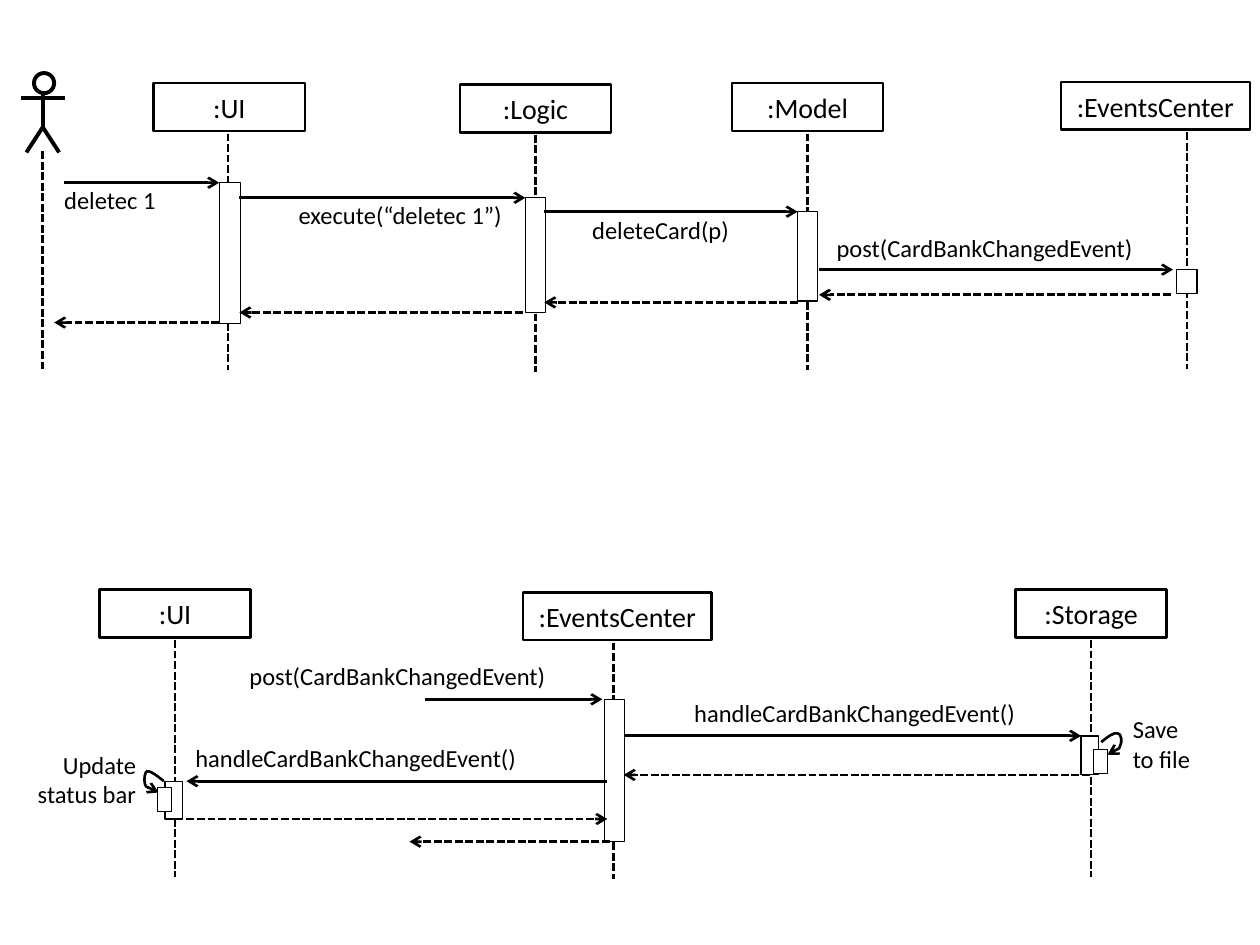
from collections import namedtuple
from lxml import etree
from pptx import Presentation
from pptx.dml.color import RGBColor
from pptx.enum.dml import MSO_LINE
from pptx.enum.shapes import MSO_CONNECTOR, MSO_SHAPE
from pptx.enum.text import MSO_ANCHOR, MSO_AUTO_SIZE, PP_ALIGN
from pptx.oxml.ns import qn
from pptx.util import Inches, Pt

STRAIGHT = MSO_CONNECTOR.STRAIGHT
RECTANGLE, CIRCLE = MSO_SHAPE.RECTANGLE, MSO_SHAPE.FLOWCHART_CONNECTOR
DASH = MSO_LINE.SQUARE_DOT
LEFT, CENTER, RIGHT = PP_ALIGN.LEFT, PP_ALIGN.CENTER, PP_ALIGN.RIGHT
COLORS = {"ink": "000000", "paper": "FFFFFF"}
COLUMNS, ROWS = 100, 75
HEADER_HEIGHT, LIFELINE_GAP, LIFELINE_LENGTH = 3.8, 0.2, 18.8
LABEL_ROW = 2.4
NO_INSETS = dict.fromkeys(("margin_left", "margin_top", "margin_right", "margin_bottom"), 0)
HEADER_FRAME = {"word_wrap": True, "vertical_anchor": MSO_ANCHOR.MIDDLE}
LABEL_FRAME = {**NO_INSETS, "word_wrap": True, "vertical_anchor": MSO_ANCHOR.TOP,
               "auto_size": MSO_AUTO_SIZE.SHAPE_TO_FIT_TEXT}

Region = namedtuple("Region", "left top")
Participant = namedtuple("Participant", "name left top width axis activation")
Label = namedtuple("Label", "text left top width lines align", defaults=(1, LEFT))
Message = namedtuple("Message", "start end row dashed", defaults=(False,))

presentation = Presentation()
presentation.slide_width, presentation.slide_height = Inches(10), Inches(7.5)
slide = presentation.slides.add_slide(presentation.slide_layouts[6])


def across(region, column):
    return round((region.left + column) * presentation.slide_width / COLUMNS)


def down(region, row):
    return round((region.top + row) * presentation.slide_height / ROWS)


def color(name):
    return RGBColor.from_string(COLORS[name])


def format_line(shape, width, line_color="ink", dashed=False, head=None):
    shape.line.color.rgb = color(line_color)
    shape.line.width = Pt(width)
    if dashed:
        shape.line.dash_style = DASH
    if head:
        etree.SubElement(shape.line._get_or_add_ln(), qn("a:" + head), type="arrow")


def format_outline(shape, width, line_color="ink", head=None):
    shape.shadow.inherit = False
    shape.fill.solid()
    shape.fill.fore_color.rgb = color("paper")
    format_line(shape, width, line_color, head=head)


def add_block(region, left, top, width, height, line=0.75, line_color="ink", kind=RECTANGLE):
    start, end = across(region, left), down(region, top)
    shape = slide.shapes.add_shape(kind, start, end, across(region, left + width) - start,
                                   down(region, top + height) - end)
    format_outline(shape, line, line_color)
    return shape


def write(shape, text, size, align, frame_format):
    for name, value in frame_format.items():
        setattr(shape.text_frame, name, value)
    paragraph = shape.text_frame.paragraphs[0]
    paragraph.text = text
    paragraph.alignment = align
    for run in paragraph.runs:
        for name, value in {"name": "Calibri", "size": Pt(size)}.items():
            setattr(run.font, name, value)
        run.font.color.rgb = color("ink")


def add_line(region, start, end, width=1.5, dashed=False, head=None):
    connector = slide.shapes.add_connector(
        STRAIGHT, across(region, start[0]), down(region, start[1]),
        across(region, end[0]), down(region, end[1]))
    format_line(connector, width, dashed=dashed, head=head)
    etree.SubElement(connector._element.spPr, qn("a:effectLst"))


def add_outline(region, points, width, head=None):
    places = [(across(region, column), down(region, row)) for column, row in points]
    builder = slide.shapes.build_freeform(*places[0])
    builder.add_line_segments(places[1:], close=False)
    shape = builder.convert_to_shape()
    format_outline(shape, width, head=head)
    return shape


def add_self_call(region, points):
    shape = add_outline(region, points, 1.5, "headEnd")
    segments = list(shape._element.iter(qn("a:lnTo")))
    for index in range(0, len(segments), 3):
        curve = etree.Element(qn("a:cubicBezTo"))
        segments[index].addprevious(curve)
        for segment in segments[index:index + 3]:
            curve.append(segment[0])
            segment.getparent().remove(segment)


def add_actor(region, axis, top):
    add_block(region, axis - 0.7, top, 1.6, 1.6, 2.25, kind=CIRCLE)
    add_line(region, (axis, top + 1.6), (axis, top + 4.4), 2.25)
    add_outline(region, [(axis - 1.3, top + 6.3), (axis, top + 4.3), (axis + 1.3, top + 6.3)], 2.25)
    add_line(region, (axis - 1.7, top + 2), (axis + 1.8, top + 2), 2.25)
    add_line(region, (axis, top + 6.2), (axis, top + 23.7), dashed=True)


def add_participant(region, participant):
    bottom = participant.top + HEADER_HEIGHT
    header = add_block(region, participant.left, participant.top, participant.width,
                       HEADER_HEIGHT, 1.5)
    write(header, participant.name, 16, CENTER, HEADER_FRAME)
    start = bottom + LIFELINE_GAP
    add_line(region, (participant.axis, start), (participant.axis, start + LIFELINE_LENGTH),
             dashed=True)
    add_block(region, *participant.activation)


def add_sequence(region, labels, participants, messages):
    for label in labels:
        shape = add_block(region, label.left, label.top, label.width,
                          label.lines * LABEL_ROW, line_color="paper")
        write(shape, label.text, 14, label.align, LABEL_FRAME)
    for participant in participants:
        add_participant(region, participant)
    for message in messages:
        add_line(region, (message.start, message.row), (message.end, message.row),
                 dashed=message.dashed, head="tailEnd")


command = Region(0, 5)
add_sequence(
    command,
    [Label("deletec 1", 5.1, 9.7, 9.4),
     Label("execute(“deletec 1”)", 23.7, 10.9, 17.6),
     Label("deleteCard(p)", 47, 12.1, 15.6),
     Label("post(CardBankChangedEvent)", 66.4, 13.5, 26.7)],
    [Participant(":UI", 12.2, 1.6, 12, 18.1, (17.4, 9.5, 1.7, 11.2)),
     Participant(":Logic", 36.5, 1.7, 12, 42.5, (41.7, 10.7, 1.6, 9.1)),
     Participant(":Model", 58.1, 1.6, 12, 64.1, (63.3, 11.8, 1.6, 7.1)),
     Participant(":EventsCenter", 84.2, 1.5, 15, 94.2, (93.4, 16.4, 1.6, 1.9))],
    [Message(5.1, 17.4, 9.5),
     Message(19, 41.7, 10.7),
     Message(43.2, 63.3, 11.8),
     Message(65, 93.1, 16.4),
     Message(92.9, 65, 18.4, True),
     Message(63.3, 43.2, 19, True),
     Message(41.5, 19, 19.8, True),
     Message(17.4, 4.3, 20.6, True)])
add_actor(command, 3.4, 0.8)

events = Region(0, 46)
add_sequence(
    events,
    [Label("post(CardBankChangedEvent)", 19.8, 6.5, 29.7),
     Label("handleCardBankChangedEvent()", 55.1, 9.4, 29.1),
     Label("handleCardBankChangedEvent()", 15.5, 13, 29.1),
     Label("Update status bar", 2.1, 13.5, 8.7, 2, RIGHT),
     Label("Save \nto file", 89.9, 10.7, 5.9, 2)],
    [Participant(":UI", 7.9, 0.8, 12, 13.9, (13.1, 16, 1.4, 3)),
     Participant(":EventsCenter", 41.5, 1, 15, 48.7, (48, 9.5, 1.6, 11.3)),
     Participant(":Storage", 80.6, 0.8, 12, 86.6, (85.8, 12.4, 1.4, 3.1))],
    [Message(33.7, 47.8, 9.5),
     Message(49.5, 85.8, 12.4),
     Message(86.5, 49.5, 15.5, True),
     Message(48.2, 14.8, 16),
     Message(14.8, 48.2, 19, True),
     Message(48.4, 32.5, 20.8, True)])
add_self_call(events, [(12.6, 16.9), (12.1, 16.7), (11.6, 16.5), (11.5, 16.2),
                       (11.4, 15.9), (11.5, 15.2), (11.7, 15.2),
                       (12, 15.2), (12.5, 15.6), (13, 16)])
add_self_call(events, [(87.9, 13.9), (88.3, 13.7), (88.8, 13.5), (88.9, 13.2),
                       (89.1, 12.9), (89, 12.2), (88.7, 12.2),
                       (88.4, 12.1), (87.9, 12.5), (87.4, 12.9)])
for nested_left, nested_top in [(12.5, 16.5), (86.8, 13.5)]:
    add_block(events, nested_left, nested_top, 1.1, 1.9)

presentation.save("out.pptx")
